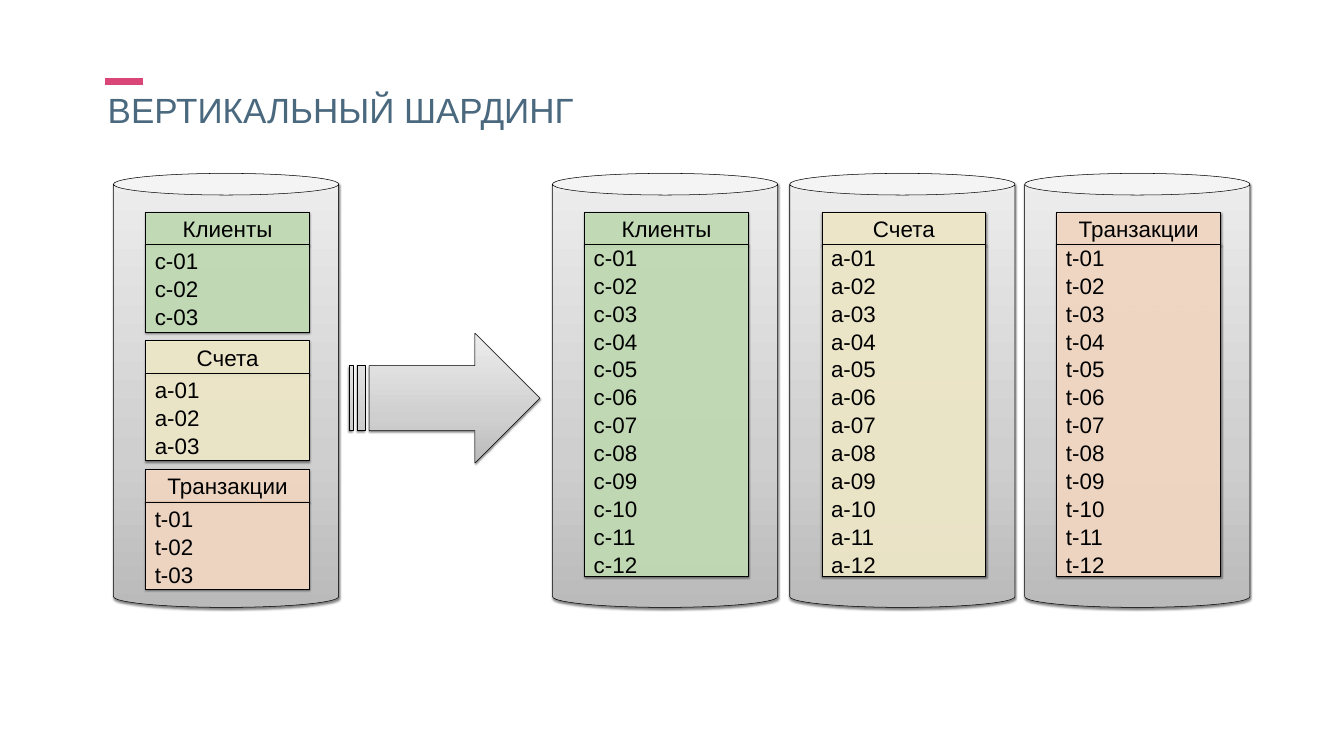
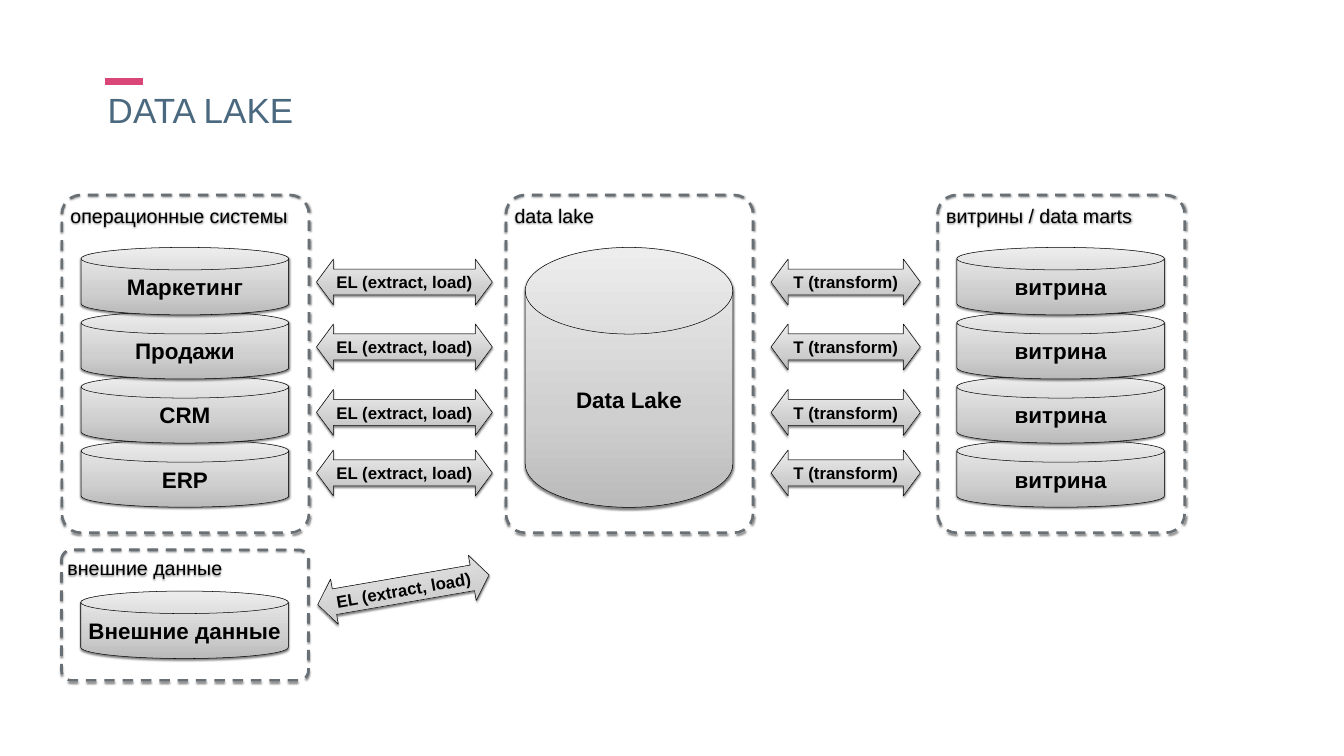
from dataclasses import dataclass

from pptx import Presentation
from pptx.dml.color import RGBColor
from pptx.enum import dml, shapes, text
from pptx.oxml import parse_xml
from pptx.oxml.ns import nsdecls, qn
from pptx.util import Cm, Pt

SHAPE = shapes.MSO_SHAPE
ANCHOR = text.MSO_ANCHOR
ALIGN = text.PP_ALIGN


@dataclass(frozen=True)
class Theme:
    font: str = "Arial"
    ink: str = "000000"
    title: str = "4A687E"
    accent: str = "DA4678"
    frame: str = "686F75"
    clients: str = "C9E3BB"
    accounts: str = "F8F1D1"
    transactions: str = "FBE0CB"
    metal: tuple = ((0, "BABABA"), (35, "CFCFCF"), (100, "EDEDED"))
    title_size: int = 50
    body_size: int = 32
    frame_size: int = 28
    arrow_size: int = 24
    inset: float = 0.15


THEME = Theme()

# Table name, key prefix and colour
TABLES = (
    ("Клиенты", "c", THEME.clients),
    ("Счета", "a", THEME.accounts),
    ("Транзакции", "t", THEME.transactions),
)


# ---- Shared building blocks ----
def write(shape, lines, size, color=THEME.ink, bold=False, align=ALIGN.LEFT,
          anchor=ANCHOR.TOP, spacing=None, indent=0):
    frame = shape.text_frame
    frame.word_wrap = True
    frame.vertical_anchor = anchor
    frame.margin_top = frame.margin_bottom = frame.margin_right = Cm(THEME.inset)
    frame.margin_left = Cm(THEME.inset + indent)
    for number, line in enumerate(lines):
        paragraph = frame.add_paragraph() if number else frame.paragraphs[0]
        paragraph.text = line
        paragraph.alignment = align
        if spacing:
            paragraph.line_spacing = spacing
        font = paragraph.font
        font.name, font.size, font.bold = THEME.font, Pt(size), bold
        font.color.rgb = RGBColor.from_string(color)


def add_shadowed(parent, kind, box, line_width, line_color=THEME.ink, adjust=()):
    shape = parent.add_shape(kind, *map(Cm, box))
    for number, value in enumerate(adjust):
        shape.adjustments[number] = value
    shape.line.color.rgb = RGBColor.from_string(line_color)
    shape.line.width = Pt(line_width)
    shape.shadow.inherit = False
    effects = shape._element.spPr.find(qn("a:effectLst"))
    effects.append(parse_xml(
        f'<a:outerShdw {nsdecls("a")} blurRad="38100" dist="25400" dir="5400000" '
        f'rotWithShape="0"><a:srgbClr val="{THEME.ink}"><a:alpha val="50000"/>'
        '</a:srgbClr></a:outerShdw>'))
    return shape


def add_metal(parent, kind, box, adjust=()):
    """Add a shape with the grey vertical gradient."""
    shape = add_shadowed(parent, kind, box, 0.75, adjust=adjust)
    stops = "".join(f'<a:gs pos="{pos * 1000}"><a:srgbClr val="{color}"/></a:gs>'
                    for pos, color in THEME.metal)
    properties = shape._element.spPr
    geometry = properties.find(qn("a:prstGeom"))
    geometry.addnext(parse_xml(
        f'<a:gradFill {nsdecls("a")} rotWithShape="1"><a:gsLst>{stops}</a:gsLst>'
        '<a:lin ang="16200000" scaled="0"/></a:gradFill>'))
    return shape


def add_titled_slide(deck, title):
    slide = deck.slides.add_slide(deck.slide_layouts[6])
    heading = slide.shapes.add_textbox(Cm(5.28), Cm(4.7), Cm(56), Cm(2))
    write(heading, [title], THEME.title_size, THEME.title, spacing=0.8)
    # Accent dash above the title
    dash = slide.shapes.add_connector(
        shapes.MSO_CONNECTOR.STRAIGHT, Cm(5.28), Cm(4.11), Cm(7.21), Cm(4.11))
    dash.line.color.rgb = RGBColor.from_string(THEME.accent)
    dash.line.width = Pt(11)
    dash._element.spPr.append(parse_xml(f'<a:effectLst {nsdecls("a")}/>'))
    return slide


# ---- Vertical sharding ----
def add_cell(group, box, color, lines, **style):
    cell = add_shadowed(group.shapes, SHAPE.RECTANGLE, box, 1)
    cell.fill.solid()
    cell.fill.fore_color.rgb = RGBColor.from_string(color)
    tint = cell._element.spPr.find(qn("a:solidFill"))[0]
    tint.append(parse_xml(f'<a:alpha {nsdecls("a")} val="90000"/>'))
    write(cell, lines, THEME.body_size, anchor=ANCHOR.MIDDLE, **style)


def add_db_table(slide, left, top, table, row_count, body_height):
    name, prefix, color = table
    width, header_height = 8.26, 1.65
    group = slide.shapes.add_group_shape()
    add_cell(group, (left, top, width, header_height), color, [name],
             align=ALIGN.CENTER)
    keys = [f"{prefix}-{row:02}" for row in range(1, row_count + 1)]
    add_cell(group, (left, top + header_height, width, body_height), color, keys,
             spacing=1.04, indent=0.31)


def add_database(slide, left, top, tables, row_count, body_height):
    add_metal(slide.shapes, SHAPE.CAN, (left, top, 11.35, 21.87), (0.096,))
    for number, table in enumerate(tables):
        add_db_table(slide, left + 1.62, top + 1.95 + number * 6.48, table,
                     row_count, body_height)


def build_sharding(deck):
    slide = add_titled_slide(deck, "ВЕРТИКАЛЬНЫЙ ШАРДИНГ")
    top = 8.74
    # Single database with all tables
    add_database(slide, 5.72, top, TABLES, 3, 4.39)
    add_metal(slide.shapes, SHAPE.STRIPED_RIGHT_ARROW, (17.58, 16.79, 9.63, 6.55),
              (0.5, 0.5))
    # One shard per table
    for left, table in zip((27.84, 39.8, 51.64), TABLES):
        add_database(slide, left, top, [table], 12, 16.69)


# ---- Data lake ----
def add_zone(slide, box, caption, stores, store_top=2.64, store_height=3.4):
    """Add a dashed zone with a stack of stores, the upper ones in front."""
    left, top = box[:2]
    zone = add_shadowed(slide.shapes, SHAPE.ROUNDED_RECTANGLE, box, 3.75,
                        THEME.frame, (0.077,))
    zone.fill.background()
    zone.line.dash_style = dml.MSO_LINE.DASH
    write(zone, [caption], THEME.frame_size)
    for number, name in reversed(list(enumerate(stores))):
        store = add_metal(
            slide.shapes, SHAPE.FLOWCHART_MAGNETIC_DISK,
            (left + 0.97, top + store_top + number * 3.23, 10.46, store_height))
        write(store, [name], THEME.body_size, bold=True, align=ALIGN.CENTER,
              anchor=ANCHOR.MIDDLE)


def add_flow(slide, left, top, width, label, rotation=0):
    flow = add_metal(slide.shapes, SHAPE.LEFT_RIGHT_ARROW, (left, top, width, 2.31),
                     (0.565, 0.37))
    flow.rotation = rotation
    write(flow, [label], THEME.arrow_size, bold=True, align=ALIGN.CENTER)


def build_data_lake(deck):
    slide = add_titled_slide(deck, "DATA LAKE")
    top, width, height = 9.83, 12.45, 17.02
    # Sources, lake and marts
    add_zone(slide, (3.12, top, width, height), "операционные системы",
             ["Маркетинг", "Продажи", "CRM", "ERP"])
    add_zone(slide, (3.1, 27.71, width, 6.58), "внешние данные",
             ["Внешние данные"], store_top=2.08)
    add_zone(slide, (25.5, top, width, height), "data lake", ["Data Lake"],
             store_height=13.1)
    add_zone(slide, (47.25, top, width, height), "витрины / data marts",
             ["витрина"] * 4)
    # Flows between the zones
    load = "EL (extract, load)"
    for left, flow_width, label in ((38.86, 7.52, "T (transform)"),
                                    (15.95, 8.86, load)):
        for flow_top in (13.06, 16.33, 19.63, 22.68):
            add_flow(slide, left, flow_top, flow_width, label)
    add_flow(slide, 15.95, 28.57, 8.76, load, rotation=350.2)


def main():
    deck = Presentation()
    deck.slide_width, deck.slide_height = Cm(67.73), Cm(38.1)
    build_sharding(deck)
    build_data_lake(deck)
    deck.save("out.pptx")


if __name__ == "__main__":
    main()
